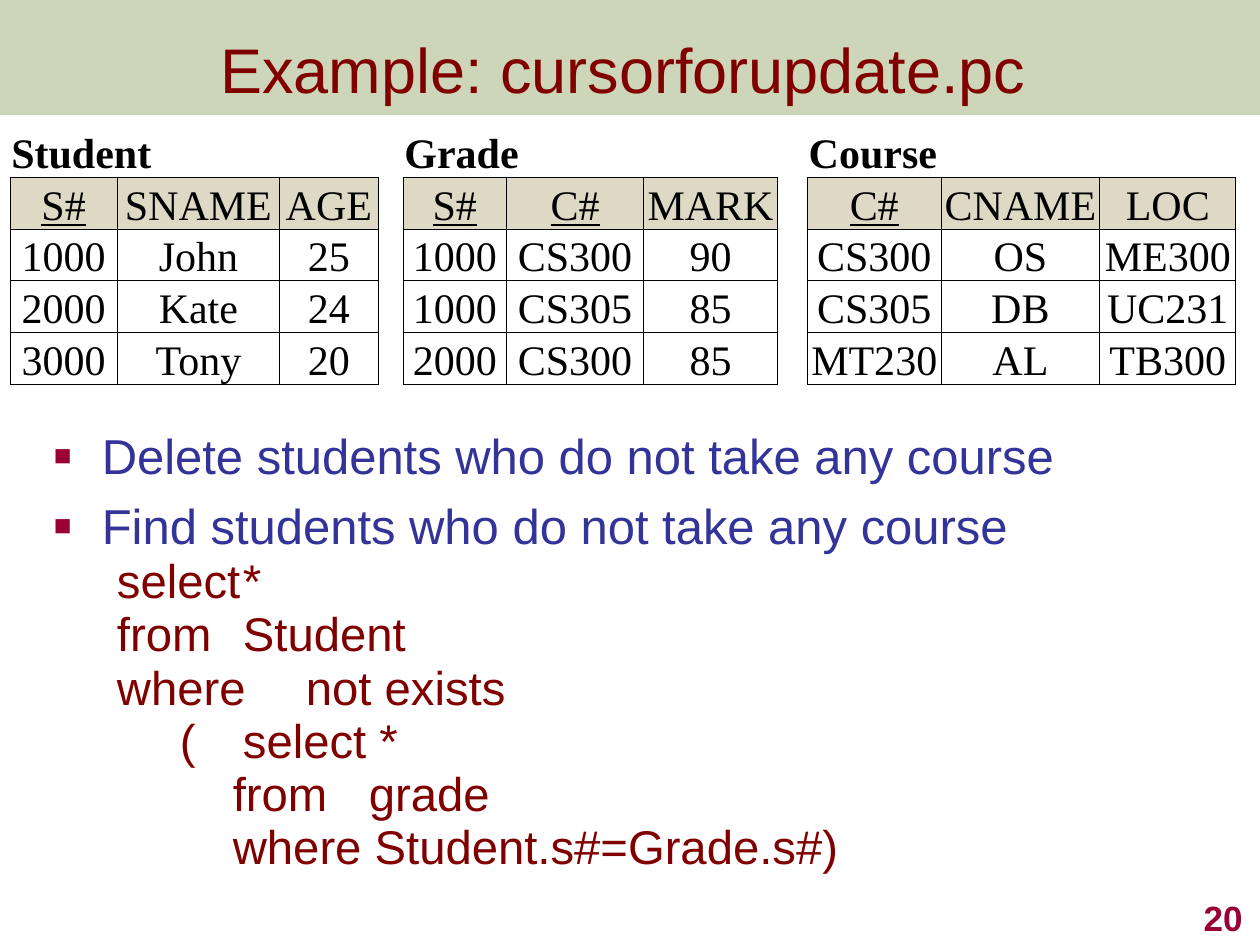
from dataclasses import dataclass

from lxml.etree import SubElement
from pptx import Presentation
from pptx.dml.color import RGBColor
from pptx.enum.shapes import MSO_SHAPE
from pptx.enum.text import MSO_ANCHOR, PP_ALIGN
from pptx.oxml.ns import qn
from pptx.util import Inches, Pt

OLIVE = RGBColor(0x79, 0x8E, 0x3E)
MAROON = RGBColor(0x80, 0x00, 0x00)
CRIMSON = RGBColor(0x99, 0x00, 0x33)
INDIGO = RGBColor(0x33, 0x33, 0x99)
SAND = RGBColor(0xDD, 0xD9, 0xC4)
BLACK = RGBColor(0x00, 0x00, 0x00)
WHITE = RGBColor(0xFF, 0xFF, 0xFF)

WIDTH, HEIGHT = Inches(10), Inches(7.5)
COLUMN, ROW = WIDTH // 100, HEIGHT // 100

GROUPS = [
    ("Student", [8.5, 12.9, 7.8], {"S#"},
     ["S# SNAME AGE", "1000 John 25", "2000 Kate 24", "3000 Tony 20"]),
    ("Grade", [8.2, 10.9, 10.6], {"S#", "C#"},
     ["S# C# MARK", "1000 CS300 90", "1000 CS305 85", "2000 CS300 85"]),
    ("Course", [10.6, 12.6, 10.8], {"C#"},
     ["C# CNAME LOC", "CS300 OS ME300", "CS305 DB UC231", "MT230 AL TB300"]),
]
GAPS = [2, 2.4]

GOALS = ["Delete students who do not take any course",
         "Find students who do not take any course"]
QUERY = [
    ("select\t*", 5, 17.9),
    ("from\tStudent", 5, 17.7),
    ("where\tnot exists", 5, 17.3),
    ("(\tselect *", 10, 14.4),
    ("from\tgrade", 14.2, 24.8),
    ("where Student.s#=Grade.s#)", 14.2, None),
]


@dataclass
class Box:
    left: float
    top: float
    width: float
    height: float

    def lengths(self):
        return (int(self.left * COLUMN), int(self.top * ROW),
                int(self.width * COLUMN), int(self.height * ROW))


def write(para, text, size, color, font="Arial", bold=False,
          underline=False, align=PP_ALIGN.LEFT):
    para.alignment = align
    span = para.add_run()
    span.text = text
    span.font.name = font
    span.font.size = Pt(size)
    span.font.bold = bold
    span.font.underline = underline
    span.font.color.rgb = color


def text_frame(page, box, anchor):
    frame = page.shapes.add_textbox(*box.lengths()).text_frame
    frame.word_wrap = True
    frame.vertical_anchor = anchor
    return frame


def indent(para, margin, first_line):
    properties = para._p.get_or_add_pPr()
    properties.set("marL", str(int(margin * COLUMN)))
    properties.set("indent", str(int(first_line * COLUMN)))
    return properties


def add_bullet(properties):
    color = SubElement(properties, qn("a:buClr"))
    SubElement(color, qn("a:srgbClr"), val=str(CRIMSON))
    SubElement(properties, qn("a:buSzPct"), val="60000")
    SubElement(properties, qn("a:buFont"), typeface="Arial")
    SubElement(properties, qn("a:buChar"), char="■")


def add_tab(properties, position):
    stops = SubElement(properties, qn("a:tabLst"))
    SubElement(stops, qn("a:tab"), pos=str(int(position * COLUMN)), algn="l")


def add_title(page, band_box, title_box):
    band = page.shapes.add_shape(MSO_SHAPE.RECTANGLE, *band_box.lengths())
    band.shadow.inherit = False
    band.fill.solid()
    band.fill.fore_color.rgb = OLIVE
    color = band._element.spPr.find(qn("a:solidFill")).find(qn("a:srgbClr"))
    SubElement(color, qn("a:alpha"), val="36000")
    band.line.fill.background()
    frame = text_frame(page, title_box, MSO_ANCHOR.MIDDLE)
    write(frame.paragraphs[0], "Example: cursorforupdate.pc", 36, MAROON,
          align=PP_ALIGN.CENTER)


def style_cell(cell, fill, sides):
    cell.margin_left = cell.margin_right = cell.margin_top = Inches(0.01)
    cell.margin_bottom = 0
    cell.vertical_anchor = MSO_ANCHOR.BOTTOM
    properties = cell._tc.get_or_add_tcPr()
    for side in sides:
        line = SubElement(properties, qn(f"a:ln{side}"), w=str(Pt(0.5)))
        paint = SubElement(line, qn("a:solidFill"))
        SubElement(paint, qn("a:srgbClr"), val=str(BLACK))
    cell.fill.solid()
    cell.fill.fore_color.rgb = fill


def fill_group(table, start, group):
    name, widths, keys, lines = group
    for offset, width in enumerate(widths):
        table.columns[start + offset].width = int(width * COLUMN)
        style_cell(table.cell(0, start + offset), WHITE, "B")
    heading = table.cell(0, start)
    heading.merge(table.cell(0, start + len(widths) - 1))
    write(heading.text_frame.paragraphs[0], name, 24, BLACK,
          font="Times New Roman", bold=True)
    for row, line in enumerate(lines, 1):
        for column, value in enumerate(line.split(), start):
            cell = table.cell(row, column)
            style_cell(cell, SAND if row == 1 else WHITE, "LRTB")
            write(cell.text_frame.paragraphs[0], value, 24, BLACK,
                  font="Times New Roman", underline=value in keys,
                  align=PP_ALIGN.CENTER)


def add_relations(page, box):
    rows = 1 + len(GROUPS[0][3])
    columns = sum(len(group[1]) for group in GROUPS) + len(GAPS)
    frame = page.shapes.add_table(rows, columns, *box.lengths())
    table = frame.table
    table.first_row = table.horz_banding = False
    style = table._tbl.tblPr.find(qn("a:tableStyleId"))
    style.text = "{2D5ABB26-0587-4C30-8999-92F81FD0307C}"
    start = 0
    for index, group in enumerate(GROUPS):
        fill_group(table, start, group)
        start += len(group[1])
        if index < len(GAPS):
            table.columns[start].width = int(GAPS[index] * COLUMN)
            for row in range(rows):
                style_cell(table.cell(row, start), WHITE, "LR" if row else "")
            start += 1


def add_query(page, box):
    frame = text_frame(page, box, MSO_ANCHOR.TOP)
    frame.margin_right = 0
    para = frame.paragraphs[0]
    for goal in GOALS:
        add_bullet(indent(para, 3.8, -3.8))
        para.space_before = Pt(6.5)
        write(para, goal, 28, INDIGO)
        para = frame.add_paragraph()
    for number, (text, start, tab) in enumerate(QUERY):
        if number:
            para = frame.add_paragraph()
        properties = indent(para, 0, start)
        para.line_spacing = Pt(25)
        para.space_before = Pt(5.4)
        if tab:
            add_tab(properties, tab)
        write(para, text, 27, MAROON)


def add_page_number(page, box):
    frame = text_frame(page, box, MSO_ANCHOR.BOTTOM)
    write(frame.paragraphs[0], "20", 20, CRIMSON, bold=True,
          align=PP_ALIGN.RIGHT)


def main():
    deck = Presentation()
    deck.slide_width, deck.slide_height = WIDTH, HEIGHT
    page = deck.slides.add_slide(deck.slide_layouts[6])
    add_title(page, Box(0, 0, 100, 12.2), Box(1.7, 0, 95.5, 14.5))
    add_query(page, Box(3.3, 44.4, 90.7, 47.9))
    add_page_number(page, Box(78.8, 93.3, 20.8, 6.7))
    add_relations(page, Box(0.8, 13.3, 97.3, 25.4))
    deck.save("out.pptx")


if __name__ == "__main__":
    main()
